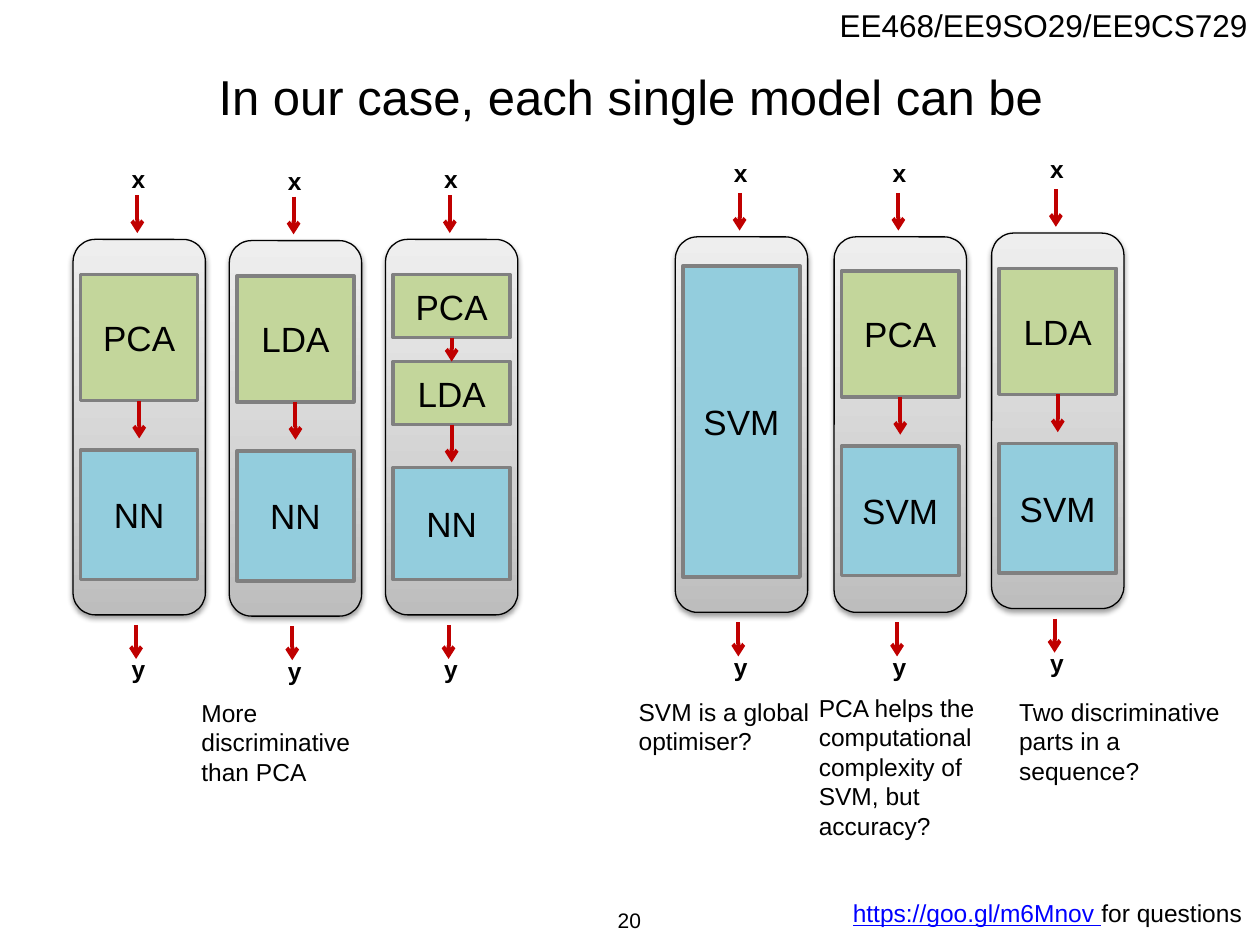
from itertools import pairwise

from lxml import etree
from pptx import Presentation
from pptx import util as u
from pptx.dml import color
from pptx.enum import shapes, text
from pptx.oxml import ns

Inches = u.Inches
COLORS = {
    "ink": "000000", "link": "0000FF", "arrow": "C00000", "border": "808080",
    "reduction": "C3D69B", "classifier": "93CDDD",
    "panel_dark": "BDBDBD", "panel_mid": "D1D1D1", "panel_light": "EEEEEE",
}
REDUCTIONS = ("PCA", "LDA")
PANEL_W, PANEL_H = 1.05, 2.98
STAGE_W = 0.93
ARROW_LENGTH = 0.3

LEFT_LABEL_RISE, RIGHT_LABEL_RISE = 0.66, 0.69
MODELS = [
    (0.58, 1.9, LEFT_LABEL_RISE, [("PCA", 0.28, 1), ("NN", 1.67, 1.03)]),
    (1.82, 1.91, LEFT_LABEL_RISE, [("LDA", 0.28, 1), ("NN", 1.67, 1.03)]),
    (3.06, 1.9, LEFT_LABEL_RISE,
     [("PCA", 0.28, 0.5), ("LDA", 0.97, 0.5), ("NN", 1.81, 0.89)]),
    (5.36, 1.88, RIGHT_LABEL_RISE, [("SVM", 0.23, 2.47)]),
    (6.62, 1.88, RIGHT_LABEL_RISE, [("PCA", 0.27, 1), ("SVM", 1.66, 1.03)]),
    (7.87, 1.85, RIGHT_LABEL_RISE, [("LDA", 0.28, 1), ("SVM", 1.67, 1.03)]),
]
REMARKS = [
    ("More discriminative than PCA", 1.5, 5.49, 1.48, 0.81),
    ("SVM is a global optimiser?", 4.97, 5.48, 1.59, 0.57),
    ("PCA helps the computational complexity of SVM, but accuracy?",
     6.4, 5.45, 1.6, 1.28),
    ("Two discriminative parts in a sequence?", 7.99, 5.48, 1.84, 0.81),
]


def rgb(name):
    return color.RGBColor.from_string(COLORS[name])


def add_element(parent, tag, **attributes):
    return etree.SubElement(parent, ns.qn(tag), attributes)


def format_run(run, size, bold=False, ink="ink"):
    run.font.name = "Arial"
    run.font.size = u.Pt(size)
    run.font.bold = bold
    run.font.color.rgb = rgb(ink)


def write(frame, wording, size, align=text.PP_ALIGN.LEFT,
          anchor=text.MSO_ANCHOR.TOP, bold=False):
    frame.word_wrap = True
    frame.vertical_anchor = anchor
    frame.text = wording
    paragraph = frame.paragraphs[0]
    paragraph.alignment = align
    format_run(paragraph.runs[0], size, bold)


def add_text(slide, wording, left, top, width, height, size, **layout):
    box = slide.shapes.add_textbox(*map(Inches, (left, top, width, height)))
    write(box.text_frame, wording, size, **layout)
    return box.text_frame


def add_arrow(slide, x, top, bottom):
    arrow = slide.shapes.add_connector(
        shapes.MSO_CONNECTOR.STRAIGHT, *map(Inches, (x, top, x, bottom)))
    arrow.line.color.rgb = rgb("arrow")
    arrow.line.width = u.Pt(2.25)
    properties = arrow.element.spPr
    add_element(properties.find(ns.qn("a:ln")), "a:tailEnd", type="arrow")
    add_element(properties, "a:effectLst")
    return arrow


def add_label(slide, wording, left, top):
    label = slide.shapes.add_shape(
        shapes.MSO_SHAPE.ROUNDED_RECTANGLE,
        *map(Inches, (left, top, 0.36, 0.31)))
    label.shadow.inherit = False
    label.fill.background()
    label.line.fill.background()
    write(label.text_frame, wording, 14, text.PP_ALIGN.CENTER, bold=True)


def add_panel(slide, left, top):
    panel = slide.shapes.add_shape(
        shapes.MSO_SHAPE.ROUNDED_RECTANGLE,
        *map(Inches, (left, top, PANEL_W, PANEL_H)))
    panel.line.color.rgb = rgb("ink")
    panel.line.width = u.Pt(0.75)
    panel.shadow.inherit = False
    panel.fill.gradient()
    panel.fill.gradient_angle = 90
    properties = panel.element.spPr
    stops = properties.find(".//" + ns.qn("a:gsLst"))
    for stop in list(stops):
        stops.remove(stop)
    for position, shade in ((0, "panel_dark"), (35, "panel_mid"),
                            (100, "panel_light")):
        stop = add_element(stops, "a:gs", pos=str(position * 1000))
        add_element(stop, "a:srgbClr", val=COLORS[shade])
    shadow = add_element(
        properties.find(ns.qn("a:effectLst")), "a:outerShdw",
        blurRad=str(u.Pt(3.1)), dist=str(u.Pt(1.6)), dir="5400000",
        rotWithShape="0")
    tint = add_element(shadow, "a:srgbClr", val=COLORS["ink"])
    add_element(tint, "a:alpha", val="38000")


def add_stage(slide, name, left, top, height):
    stage = slide.shapes.add_shape(
        shapes.MSO_SHAPE.RECTANGLE,
        *map(Inches, (left, top, STAGE_W, height)))
    stage.shadow.inherit = False
    stage.fill.solid()
    stage.fill.fore_color.rgb = rgb(
        "reduction" if name in REDUCTIONS else "classifier")
    stage.line.color.rgb = rgb("border")
    stage.line.width = u.Pt(2)
    write(stage.text_frame, name, 20, text.PP_ALIGN.CENTER,
          text.MSO_ANCHOR.MIDDLE)
    return stage


def add_model(slide, left, top, label_rise, stages):
    add_label(slide, "x", left + 0.34, top - label_rise)
    add_arrow(slide, left + 0.51, top - 0.35, top - 0.05)
    add_panel(slide, left, top)
    boxes = [add_stage(slide, name, left + 0.06, top + offset, height)
             for name, offset, height in stages]
    for upper, lower in pairwise(boxes):
        start = (upper.top + upper.height) / Inches(1)
        gap = lower.top / Inches(1) - start
        center = left + 0.06 + STAGE_W / 2
        flow = add_arrow(slide, center, start, start + min(gap, ARROW_LENGTH))
        flow.begin_connect(upper, 2)
        if gap < ARROW_LENGTH:
            flow.end_connect(lower, 0)
    add_arrow(slide, left + 0.5, top + 3.06, top + 3.33)
    add_label(slide, "y", left + 0.34, top + 3.23)


def add_title(slide, wording):
    title = slide.shapes.title
    title.left, title.top, title.width, title.height = map(
        Inches, (0.17, 0.28, 9.67, 0.97))
    write(title.text_frame, wording, 28, text.PP_ALIGN.CENTER,
          text.MSO_ANCHOR.MIDDLE)
    title.text_frame.auto_size = text.MSO_AUTO_SIZE.NONE


def add_margins(slide):
    course = add_text(slide, "EE468/EE9SO29/EE9CS729", 6.45, 0, 3.55, 0.4, 18,
                      align=text.PP_ALIGN.RIGHT)
    course.word_wrap = False
    contact = add_text(slide, "https://goo.gl/m6Mnov ",
                       6.67, 7.08, 3.33, 0.34, 14).paragraphs[0]
    address = contact.runs[0]
    format_run(address, 14, ink="link")
    address.font.underline = True
    purpose = contact.add_run()
    purpose.text = "for questions"
    format_run(purpose, 14)
    add_text(slide, "20", 3.83, 7.1, 2.33, 0.4, 12,
             align=text.PP_ALIGN.CENTER, anchor=text.MSO_ANCHOR.MIDDLE)


def main():
    deck = Presentation()
    deck.slide_width, deck.slide_height = Inches(10), Inches(7.5)
    slide = deck.slides.add_slide(deck.slide_layouts[5])
    add_margins(slide)
    add_title(slide, "In our case, each single model can be")
    for model in MODELS:
        add_model(slide, *model)
    for remark in REMARKS:
        add_text(slide, *remark, size=14)
    deck.save("out.pptx")


if __name__ == "__main__":
    main()
